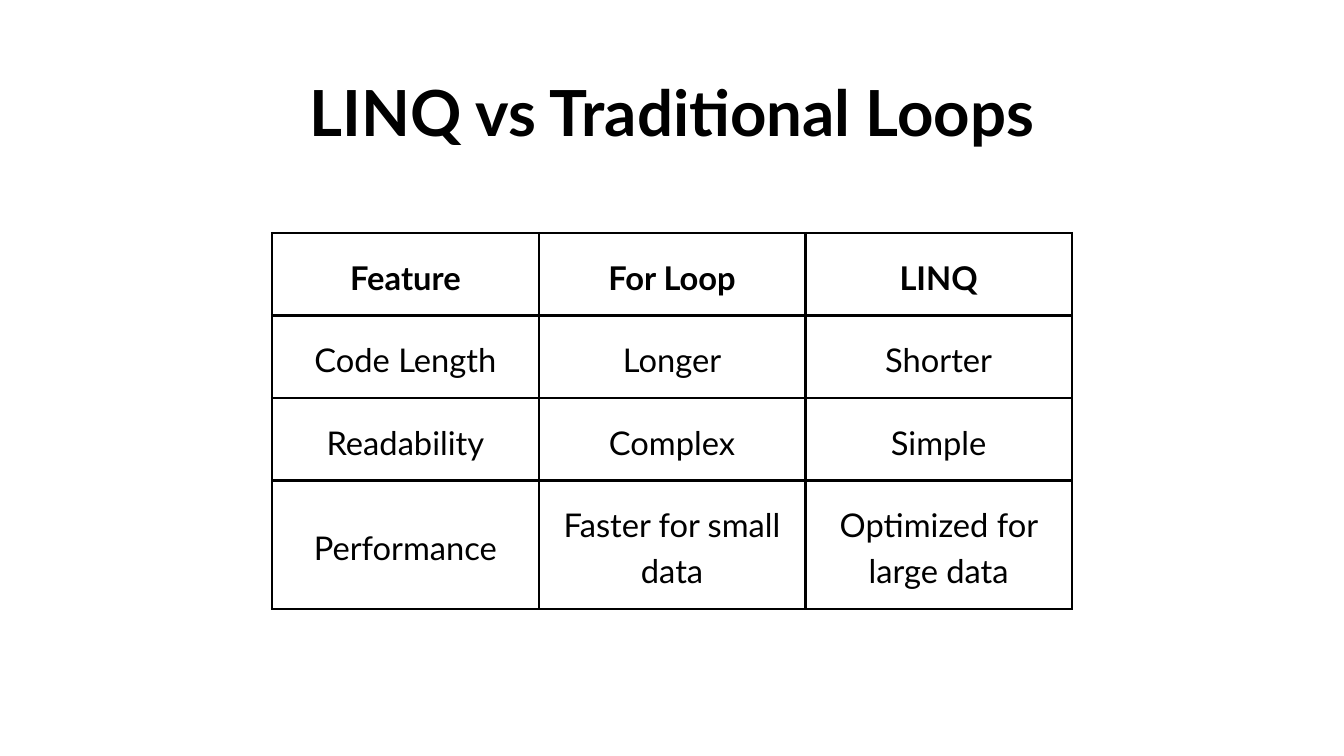
import pptx
import pptx.util
import pptx.dml.color
import pptx.enum.text
import pptx.oxml
import pptx.oxml.ns

Pt = pptx.util.Pt
FONT = "Lato"
COLORS = {"ink": "000000", "page": "FFFFFF"}
ROWS = [
    ("Feature", "For Loop", "LINQ"),
    ("Code Length", "Longer", "Shorter"),
    ("Readability", "Complex", "Simple"),
    ("Performance", "Faster for small data", "Optimized for large data"),
]
HEIGHTS = [88.4, 88.4, 88.4, 137.4]
PAD = 15
RULE = 3


def color(name):
    return pptx.dml.color.RGBColor.from_string(COLORS[name])


def style(par, size, lead, bold):
    par.alignment = pptx.enum.text.PP_ALIGN.CENTER
    par.line_spacing = Pt(lead)
    par.space_before = par.space_after = Pt(0)
    font = par.font
    font.name, font.size, font.bold = FONT, Pt(size), bold
    font.color.rgb = color("ink")


def border(cell):
    props = cell._tc.get_or_add_tcPr()
    for side in ("lnL", "lnR", "lnT", "lnB"):
        props.append(pptx.oxml.parse_xml(
            f'<a:{side} {pptx.oxml.ns.nsdecls("a")} w="{Pt(RULE)}">'
            f'<a:solidFill><a:srgbClr val="{COLORS["ink"]}"/></a:solidFill>'
            f'<a:prstDash val="solid"/></a:{side}>'))


def add_title(slide, text, left, top, width, height):
    title = slide.shapes.title
    title.left, title.top = Pt(left), Pt(top)
    title.width, title.height = Pt(width), Pt(height)
    frame = title.text_frame
    frame.text = text
    frame.word_wrap = True
    frame.auto_size = pptx.enum.text.MSO_AUTO_SIZE.NONE
    frame.vertical_anchor = pptx.enum.text.MSO_ANCHOR.TOP
    frame.margin_left = frame.margin_right = Pt(0)
    frame.margin_top = frame.margin_bottom = Pt(0)
    style(frame.paragraphs[0], 68.1, 95.4, True)


def add_grid(slide, left, top, width):
    count = len(ROWS[0])
    grid = slide.shapes.add_table(
        len(ROWS), count, Pt(left), Pt(top), Pt(width), Pt(sum(HEIGHTS))).table
    grid.horz_banding = False
    for col in grid.columns:
        col.width = Pt(width / count)
    for i, (row, high) in enumerate(zip(ROWS, HEIGHTS)):
        grid.rows[i].height = Pt(high)
        for j, text in enumerate(row):
            cell = grid.cell(i, j)
            cell.text = text
            cell.vertical_anchor = pptx.enum.text.MSO_ANCHOR.MIDDLE
            cell.margin_left = cell.margin_right = Pt(PAD)
            cell.margin_top = cell.margin_bottom = Pt(PAD)
            border(cell)
            cell.fill.solid()
            cell.fill.fore_color.rgb = color("page")
            style(cell.text_frame.paragraphs[0], 35, 49, i == 0)


def main():
    deck = pptx.Presentation()
    deck.slide_width, deck.slide_height = Pt(1440), Pt(810)
    slide = deck.slides.add_slide(deck.slide_layouts[5])
    slide.background.fill.solid()
    slide.background.fill.fore_color.rgb = color("page")

    # Heading
    add_title(slide, "LINQ vs Traditional Loops", 280.8, 64.8, 878.4, 92.9)
    # Comparison table
    add_grid(slide, 291.6, 249.8, 857)

    deck.save("out.pptx")


if __name__ == "__main__":
    main()
